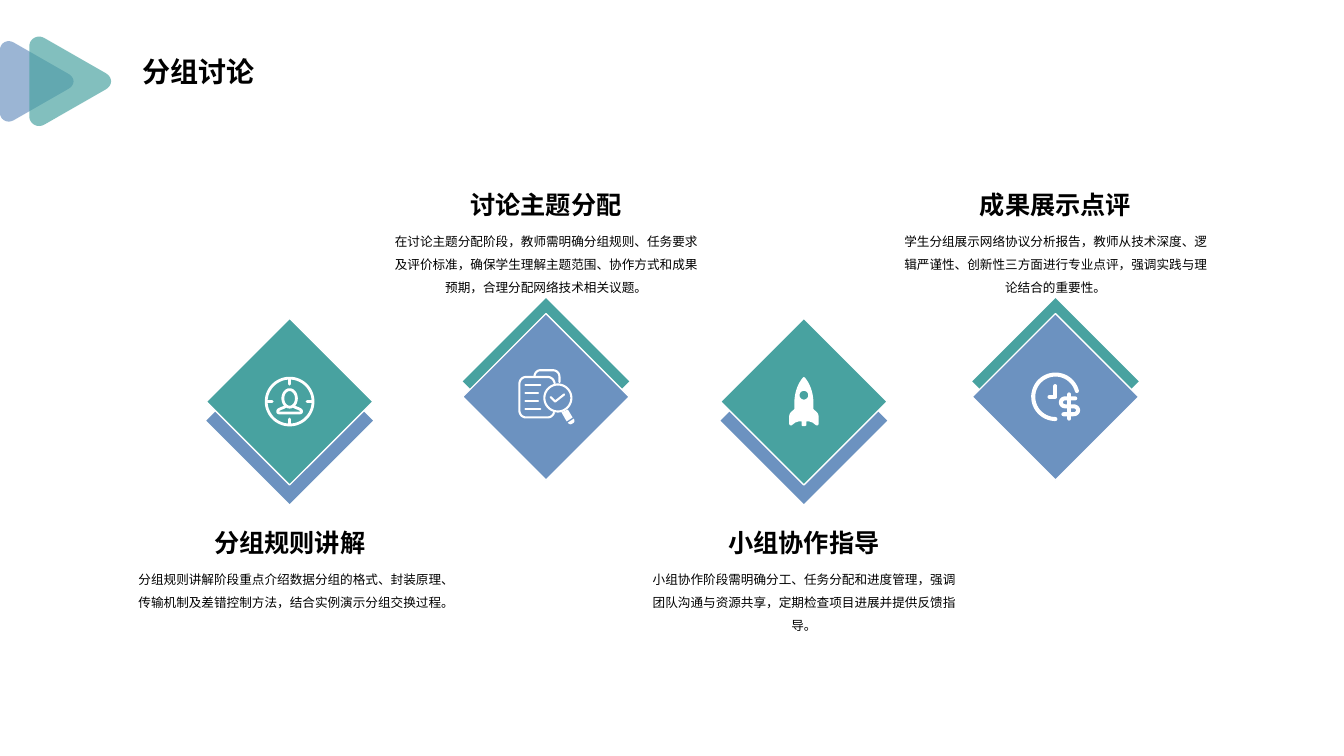
"""Build the group discussion slide."""
from math import cos, radians, sin

from lxml import etree
from pptx import Presentation
from pptx.dml.color import RGBColor
from pptx.enum.shapes import MSO_SHAPE
from pptx.enum.text import MSO_AUTO_SIZE, PP_ALIGN
from pptx.oxml.ns import qn
from pptx.util import Cm, Pt

RECTANGLE = MSO_SHAPE.RECTANGLE
GROW = MSO_AUTO_SIZE.SHAPE_TO_FIT_TEXT
LEFT, CENTER = PP_ALIGN.LEFT, PP_ALIGN.CENTER
FONT = "Noto Sans CJK SC"
TEAL, BLUE, WHITE, BLACK = "48A2A0", "6C92C0", "FFFFFF", "000000"
SIDE = 2.97
HEADING_WIDTH, BODY_WIDTH = 5.92, 8.41

STEPS = [
    (7.3, False, "target", "分组规则讲解",
     "分组规则讲解阶段重点介绍数据分组的格式、封装原理、传输机制及差错控制方法，结合实例演示分组交换过程。"),
    (13.76, True, "report", "讨论主题分配",
     "在讨论主题分配阶段，教师需明确分组规则、任务要求及评价标准，确保学生理解主题范围、协作方式和成果预期，合理分配网络技术相关议题。"),
    (20.26, False, "rocket", "小组协作指导",
     "小组协作阶段需明确分工、任务分配和进度管理，强调团队沟通与资源共享，定期检查项目进展并提供反馈指导。"),
    (26.6, True, "clock", "成果展示点评",
     "学生分组展示网络协议分析报告，教师从技术深度、逻辑严谨性、创新性三方面进行专业点评，强调实践与理论结合的重要性。"),
]


def color(value):
    """Return the colour for a hex string."""
    return RGBColor.from_string(value)


def trace(*parts):
    """Turn points and cubic curves (six numbers) into a list of points."""
    points = []
    for part in parts:
        if len(part) == 2:
            points.append(part)
            continue
        x0, y0 = points[-1]
        x1, y1, x2, y2, x3, y3 = part
        for step in range(1, 13):
            t = step / 12
            u = 1 - t
            a, b, c, d = u ** 3, 3 * u * u * t, 3 * u * t * t, t ** 3
            points.append((a * x0 + b * x1 + c * x2 + d * x3,
                           a * y0 + b * y1 + c * y2 + d * y3))
    return points


def arc(x, y, radius_x, radius_y, start=0, end=360):
    """Return the points of an elliptical arc, clockwise in degrees."""
    angles = [radians(start + (end - start) * i / 60) for i in range(61)]
    return [(x + radius_x * cos(a), y + radius_y * sin(a)) for a in angles]


def mirror(points, axis):
    """Close a half outline with its reflection on axis 0 (x) or 1 (y)."""
    flip = (-1, 1) if axis == 0 else (1, -1)
    other = [(x * flip[0], y * flip[1]) for x, y in reversed(points)]
    return points + other + points[:1]


def add_outline(page, x, y, contours, fill=None, stroke=None):
    """Draw contours around a centre, filled or stroked in white."""
    builder = None
    for contour in contours:
        points = [(Cm(px), Cm(py)) for px, py in contour]
        if builder is None:
            builder = page.shapes.build_freeform(*points[0])
        else:
            builder.move_to(*points[0])
        builder.add_line_segments(points[1:], close=False)
    shape = builder.convert_to_shape(Cm(x), Cm(y))
    shape.shadow.inherit = False
    if fill:
        shape.fill.solid()
        shape.fill.fore_color.rgb = color(fill)
        shape.line.fill.background()
    else:
        shape.fill.background()
        shape.line.color.rgb = color(WHITE)
        shape.line.width = Pt(stroke)
        shape._element.spPr.find(qn("a:ln")).set("cap", "rnd")
    return shape


def add_triangle(page, left, scale, fill):
    """Draw a translucent rounded triangle pointing right."""
    half = trace((2.06, 0), (2.06, -0.08, 2.01, -0.16, 1.9, -0.22), (0.38, -1.09),
                 (0.2, -1.19, 0, -1.07, 0, -0.88))
    points = [(x * scale, y * scale) for x, y in half]
    shape = add_outline(page, left, 2.05, [mirror(points, 1)], fill)
    rgb = shape._element.spPr.find(qn("a:solidFill"))[0]
    etree.SubElement(rgb, qn("a:alpha")).set("val", "68000")


def add_diamond(page, x, y, fill, edged):
    """Draw a turned square around a centre."""
    shape = page.shapes.add_shape(
        RECTANGLE, Cm(x - SIDE / 2), Cm(y - SIDE / 2), Cm(SIDE), Cm(SIDE))
    shape.rotation = 315
    shape.shadow.inherit = False
    shape.fill.solid()
    shape.fill.fore_color.rgb = color(fill)
    if edged:
        shape.line.color.rgb = color(WHITE)
        shape.line.width = Pt(1)
    else:
        shape.line.fill.background()


def add_text(page, left, top, width, height, text, size,
             bold=False, align=CENTER, spacing=None, wrap=True):
    """Add a one-paragraph text box."""
    box = page.shapes.add_textbox(Cm(left), Cm(top), Cm(width), Cm(height))
    box.text_frame.word_wrap = wrap
    box.text_frame.auto_size = GROW
    para = box.text_frame.paragraphs[0]
    para.text = text
    para.alignment = align
    if spacing:
        para.line_spacing = spacing
    para.font.size = Pt(size)
    para.font.bold = bold
    para.font.name = FONT
    para.font.color.rgb = color(BLACK)
    for run in para.runs:
        etree.SubElement(run.font._element, qn("a:ea")).set("typeface", FONT)


def add_target(page, x, y):
    """Draw a person inside a target."""
    ticks = [[(0.58 * a, 0.58 * b), (0.44 * a, 0.44 * b)]
             for a, b in ((0, -1), (1, 0), (0, 1), (-1, 0))]
    shoulders = trace((0.1, 0.12), (0.16, 0.17, 0.3, 0.18, 0.3, 0.25),
                      (0.3, 0.29, 0.25, 0.29, 0.2, 0.29))
    bust = mirror(shoulders, 0)[:-1]
    add_outline(page, x, y, [arc(0, 0, 0.59, 0.59), *ticks,
                             arc(0, -0.08, 0.17, 0.22), bust], stroke=2)


def add_report(page, x, y):
    """Draw two sheets under a magnifier."""
    front = trace((0.22, -0.34), (0.2, -0.44, 0.13, -0.5, 0.04, -0.5), (-0.5, -0.5),
                  (-0.6, -0.5, -0.67, -0.42, -0.67, -0.32), (-0.67, 0.34),
                  (-0.67, 0.44, -0.6, 0.52, -0.5, 0.52), (0.04, 0.52),
                  (0.12, 0.52, 0.18, 0.47, 0.2, 0.4))
    back = trace((-0.29, -0.5), (-0.29, -0.6, -0.22, -0.67, -0.14, -0.67), (0.17, -0.67),
                 (0.27, -0.67, 0.34, -0.6, 0.34, -0.5), (0.34, -0.37))
    rows = [[(-0.52, -0.29 + 0.2 * i), (end, -0.29 + 0.2 * i)]
            for i, end in enumerate((-0.14, -0.2, -0.2, -0.14))]
    check = [(0.12, 0.01), (0.23, 0.12), (0.46, -0.06)]
    lens = arc(0.3, 0.03, 0.34, 0.34)
    add_outline(page, x, y, [front, back, *rows, check, lens], stroke=1.5)
    handle = [(0.55, 0.32), (0.39, 0.39), (0.52, 0.62), (0.67, 0.52), (0.55, 0.32)]
    tip = trace((0.7, 0.55), (0.55, 0.65), (0.58, 0.69, 0.62, 0.71, 0.67, 0.67),
                (0.72, 0.65, 0.73, 0.61, 0.7, 0.55))
    add_outline(page, x, y, [handle, tip], WHITE)


def add_rocket(page, x, y):
    """Draw a rocket with a round window."""
    half = trace((0, -0.62), (0.03, -0.6), (0.09, -0.52, 0.24, -0.32, 0.24, 0.04),
                 (0.24, 0.19), (0.27, 0.22), (0.33, 0.25, 0.37, 0.32, 0.37, 0.37),
                 (0.37, 0.57), (0.35, 0.6), (0.31, 0.6), (0.22, 0.53), (0.13, 0.5),
                 (0.06, 0.5), (0.06, 0.6), (0.03, 0.62))
    add_outline(page, x, y, [mirror(half, 0), arc(0, -0.16, 0.11, 0.11)], WHITE)


def add_clock(page, x, y):
    """Draw an open clock with a dollar sign."""
    dollar = trace((0.5, 0.04), (0.25, 0.04), (0.1, 0.04, 0.1, 0.24, 0.25, 0.24),
                   (0.45, 0.24), (0.61, 0.24, 0.61, 0.44, 0.45, 0.44), (0.2, 0.44))
    hands = [(0, -0.27), (0, 0), (-0.15, 0)]
    add_outline(page, x, y, [arc(0, 0, 0.56, 0.56, 90, 345), hands, dollar,
                             [(0.35, -0.06), (0.35, 0.55)]], stroke=2.9)


def add_step(page, x, raised, icon, heading, body):
    """Draw one step: diamond pair, icon, heading and body."""
    if raised:
        back, front, back_fill, front_fill, top = 9.61, 10, TEAL, BLUE, 4.65
    else:
        back, front, back_fill, front_fill, top = 10.6, 10.12, BLUE, TEAL, 13.16
    add_diamond(page, x, back, back_fill, False)
    add_diamond(page, x, front, front_fill, True)
    icons = {"target": add_target, "report": add_report,
             "rocket": add_rocket, "clock": add_clock}
    icons[icon](page, x, front)
    add_text(page, x - HEADING_WIDTH / 2, top, HEADING_WIDTH, 1.02, heading, 18, bold=True)
    add_text(page, x - BODY_WIDTH / 2, top + 0.94, BODY_WIDTH, 0.84, body, 9, spacing=1.5)


def main():
    """Build and save the deck."""
    deck = Presentation()
    deck.slide_width, deck.slide_height = Cm(33.87), Cm(19.05)
    page = deck.slides.add_slide(deck.slide_layouts[6])
    add_text(page, 3.35, 1.24, 4.32, 1.12, "分组讨论", 20, bold=True, align=LEFT, wrap=False)
    add_triangle(page, 0, 0.9, BLUE)
    add_triangle(page, 0.74, 1, TEAL)
    for step in STEPS:
        add_step(page, *step)
    deck.save("out.pptx")


if __name__ == "__main__":
    main()
